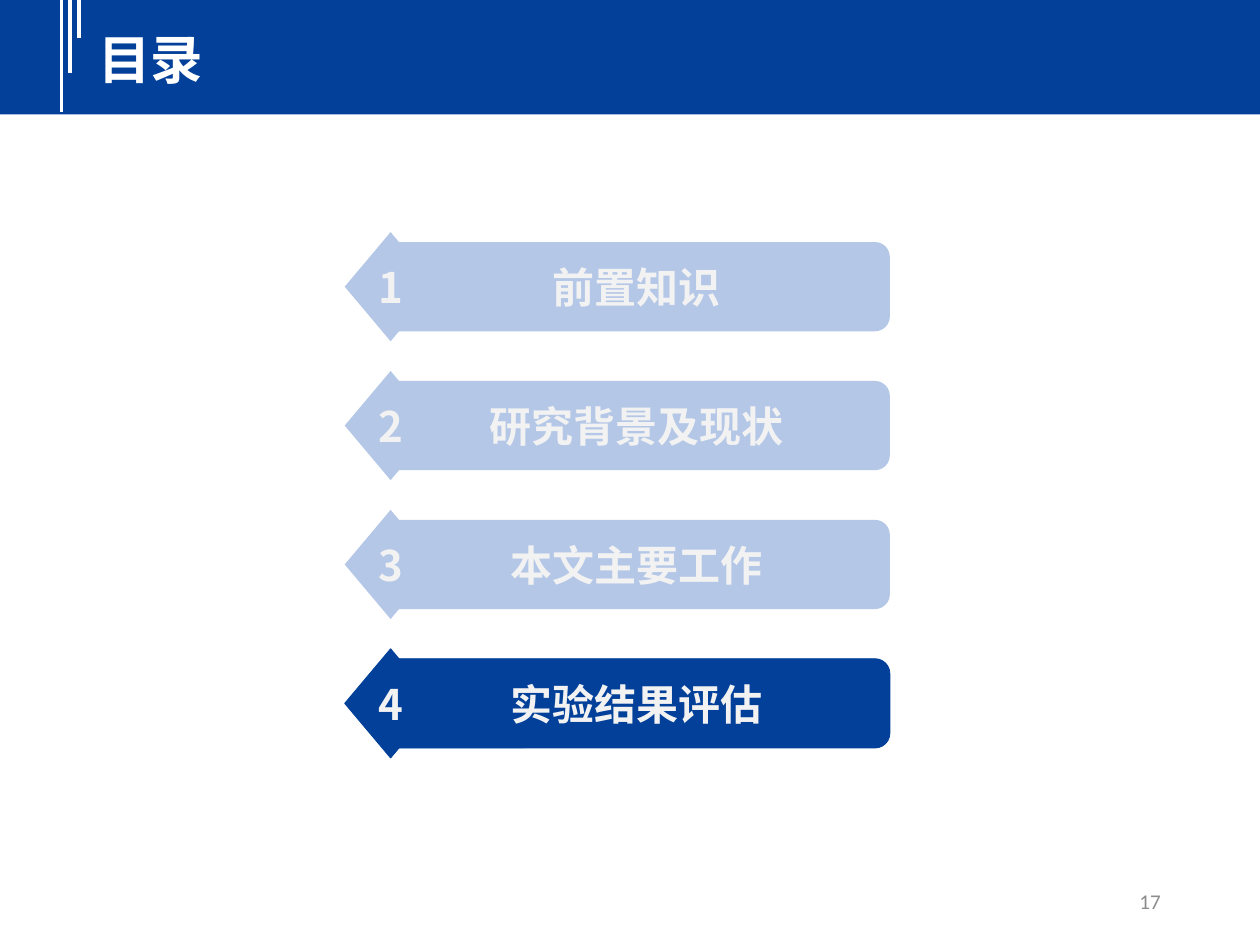
from lxml.etree import SubElement
from pptx import Presentation
from pptx.dml.color import RGBColor
from pptx.enum.shapes import MSO_CONNECTOR, MSO_SHAPE
from pptx.enum.text import MSO_ANCHOR, MSO_AUTO_SIZE, PP_ALIGN
from pptx.oxml.ns import qn
from pptx.util import Cm, Pt

NAVY = RGBColor(0x02, 0x40, 0x9A)
PALE = RGBColor(0xB4, 0xC7, 0xE7)
WHITE = RGBColor(0xFF, 0xFF, 0xFF)
OFF_WHITE = RGBColor(0xF2, 0xF2, 0xF2)
GRAY = RGBColor(0x8C, 0x8C, 0x8C)
LATIN = "Calibri"
CJK = "Noto Sans CJK SC"


def write(tf, text, size, color, font=CJK, bold=True, align=PP_ALIGN.CENTER,
          anchor=MSO_ANCHOR.MIDDLE, wrap=True):
    tf.word_wrap = wrap
    tf.auto_size = MSO_AUTO_SIZE.NONE
    tf.vertical_anchor = anchor
    p = tf.paragraphs[0]
    p.alignment = align
    r = p.add_run()
    r.text = text
    r.font.size = Pt(size)
    r.font.bold = bold
    r.font.color.rgb = color
    r.font.name = font
    SubElement(r.font._element, qn("a:ea"), typeface=CJK)


class Deck:
    def __init__(self):
        self.prs = Presentation()
        self.prs.slide_width = Cm(25.4)
        self.prs.slide_height = Cm(19.05)
        self.s = self.prs.slides.add_slide(self.prs.slide_layouts[5])

    def shape(self, kind, x, y, w, h, fill, outlined=False, parent=None):
        shapes = (parent or self.s).shapes
        sp = shapes.add_shape(kind, Cm(x), Cm(y), Cm(w), Cm(h))
        sp.shadow.inherit = False
        sp.fill.solid()
        sp.fill.fore_color.rgb = fill
        if outlined:
            sp.line.color.rgb = fill
            sp.line.width = Pt(0.5)
        else:
            sp.line.fill.background()
        return sp

    def stripe(self, x, bottom):
        line = self.s.shapes.add_connector(
            MSO_CONNECTOR.STRAIGHT, Cm(x), Cm(0), Cm(x), Cm(bottom))
        line.line.color.rgb = WHITE
        line.line.width = Pt(2.25)
        SubElement(line._element.spPr, qn("a:effectLst"))

    def title(self, text, x, y, w, h):
        sp = self.s.shapes.title
        sp.left, sp.top, sp.width, sp.height = Cm(x), Cm(y), Cm(w), Cm(h)
        sp.element.getparent().append(sp.element)
        write(sp.text_frame, text, 30, WHITE, align=PP_ALIGN.LEFT,
              anchor=MSO_ANCHOR.TOP)

    def entry(self, number, text, y, current):
        fill = NAVY if current else PALE
        group = self.s.shapes.add_group_shape()
        bar = self.shape(MSO_SHAPE.ROUNDED_RECTANGLE, 7.72, y, 10.22, 1.8,
                         fill, current, group)
        write(bar.text_frame, text, 24, OFF_WHITE, LATIN, wrap=False)
        marker = self.shape(MSO_SHAPE.DIAMOND, 6.95, y - 0.2, 1.85, 2.2,
                            fill, current, group)
        write(marker.text_frame, str(number), 24, OFF_WHITE, wrap=False)

    def page_number(self, text, x, y, w, h):
        sp = self.s.shapes.add_textbox(Cm(x), Cm(y), Cm(w), Cm(h))
        write(sp.text_frame, text, 12, GRAY, LATIN, bold=False,
              align=PP_ALIGN.RIGHT)


def main():
    deck = Deck()
    deck.shape(MSO_SHAPE.RECTANGLE, 0, 0, 25.4, 2.31, NAVY)
    for i, bottom in enumerate((2.26, 1.47, 0.76)):
        deck.stripe(1.24 + 0.18 * i, bottom)
    deck.title("目录", 1.73, 0.41, 23.16, 1.52)

    topics = ["前置知识", "研究背景及现状", "本文主要工作", "实验结果评估"]
    for i, topic in enumerate(topics):
        deck.entry(i + 1, topic, 4.88 + 2.8 * i, topic == topics[-1])

    deck.page_number("17", 17.93, 17.65, 5.72, 1.02)
    deck.prs.save("out.pptx")


if __name__ == "__main__":
    main()
